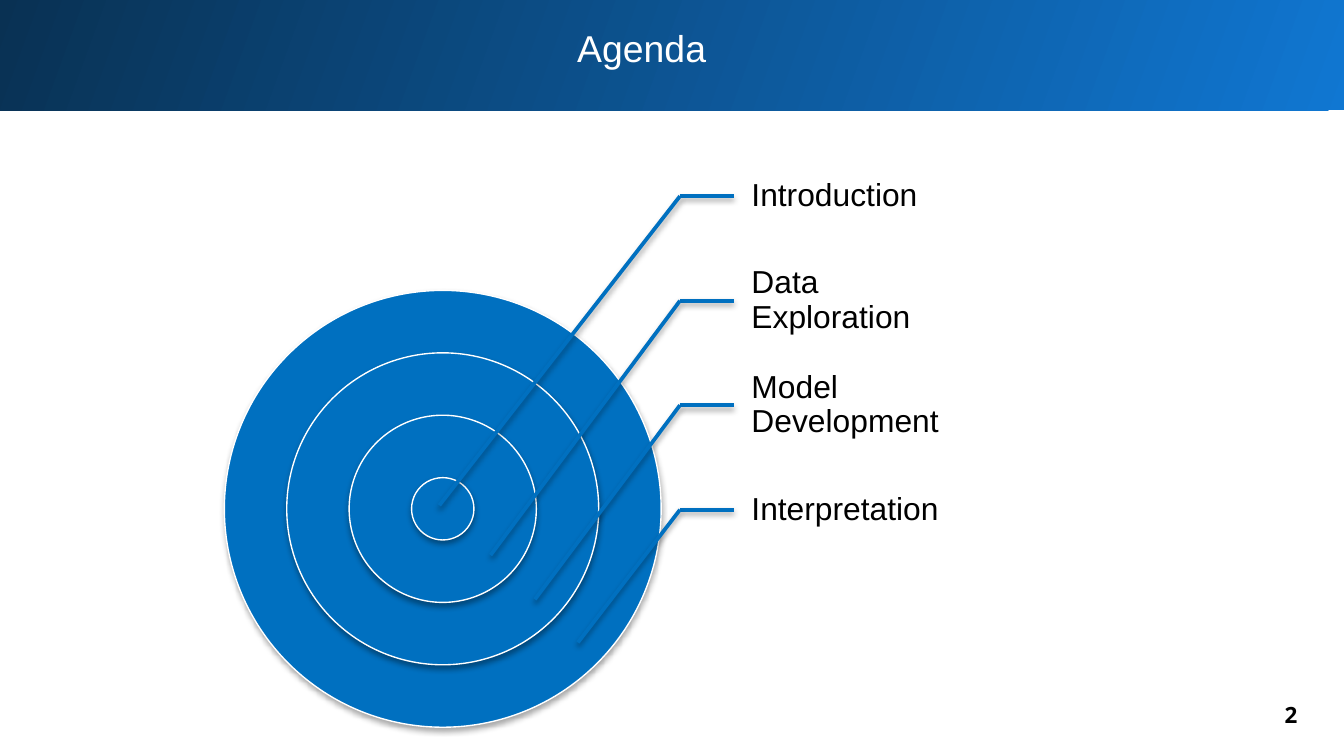
import dataclasses

import lxml.etree
import pptx
import pptx.dml.color
import pptx.enum.shapes
import pptx.enum.text
import pptx.oxml.ns
import pptx.util

Pt = pptx.util.Pt
SHAPES = pptx.enum.shapes.MSO_SHAPE
ANCHOR = pptx.enum.text.MSO_ANCHOR
ALIGN = pptx.enum.text.PP_ALIGN
BLUE, WHITE, BLACK = "0070C0", "FFFFFF", "000000"


@dataclasses.dataclass
class AgendaItem:
    label: str
    target_x: float
    target_y: float


@dataclasses.dataclass
class TextStyle:
    size: float
    font: str = "Arial"
    color: str = BLACK
    bold: bool = False
    align: ALIGN = ALIGN.LEFT
    anchor: ANCHOR = ANCHOR.TOP
    insets: tuple = (7.2, 7.2, 7.2, 7.2)
    spacing: float = 1.0


ITEMS = [
    AgendaItem("Introduction", 235.4, 270.7),
    AgendaItem("Data Exploration", 262.8, 297.4),
    AgendaItem("Model Development", 286.6, 321.1),
    AgendaItem("Interpretation", 309.6, 344.2),
]
TITLE = TextStyle(20, color=WHITE, align=ALIGN.CENTER)
NUMBER = TextStyle(12, font="Open Sans", bold=True)
LABEL = TextStyle(17, anchor=ANCHOR.MIDDLE, insets=(9.4, 1.5, 1.5, 1.5), spacing=0.9)

CENTER_X, CENTER_Y = 237.2, 272.6
OUTER_RADIUS, RING_STEP = 117, 33.43
BEND_X, LABEL_X = 364.3, 393.2
FIRST_Y, ITEM_PITCH = 105.1, 56
LABEL_WIDTH = 117.4


def rgb(color: str) -> pptx.dml.color.RGBColor:
    return pptx.dml.color.RGBColor.from_string(color)


def set_shadow(shape) -> None:
    name = pptx.oxml.ns.qn
    effects = lxml.etree.SubElement(shape._element.spPr, name("a:effectLst"))
    shadow = lxml.etree.SubElement(
        effects, name("a:outerShdw"), blurRad=str(Pt(3)), dist=str(Pt(1.8)),
        dir="5400000", rotWithShape="0")
    tone = lxml.etree.SubElement(shadow, name("a:srgbClr"), val=BLACK)
    lxml.etree.SubElement(tone, name("a:alpha"), val="35000")


def write_text(box, text: str, style: TextStyle) -> None:
    frame = box.text_frame
    frame.text = text
    frame.word_wrap = True
    frame.auto_size = pptx.enum.text.MSO_AUTO_SIZE.NONE
    frame.vertical_anchor = style.anchor
    frame.margin_left, frame.margin_top, frame.margin_right, frame.margin_bottom = map(
        Pt, style.insets)
    para = frame.paragraphs[0]
    para.alignment = style.align
    para.line_spacing = style.spacing
    font = para.runs[0].font
    font.name = style.font
    font.size = Pt(style.size)
    font.bold = style.bold
    font.color.rgb = rgb(style.color)


def draw_text(page, left: float, top: float, width: float, height: float,
              text: str, style: TextStyle) -> None:
    box = page.shapes.add_textbox(Pt(left), Pt(top), Pt(width), Pt(height))
    write_text(box, text, style)


def draw_banner(page) -> None:
    banner = page.shapes.add_shape(SHAPES.RECTANGLE, 0, Pt(-7.2), Pt(723.6), Pt(66.4))
    banner.shadow.inherit = False
    banner.line.fill.background()
    banner.fill.gradient()
    banner.fill.gradient_angle = 160
    for stop, color, position in zip(
            banner.fill.gradient_stops, ("1077D2", "093153"), (0, 1)):
        stop.color.rgb = rgb(color)
        stop.position = position


def draw_ring(page, radius: float) -> None:
    ring = page.shapes.add_shape(
        SHAPES.OVAL, Pt(CENTER_X - radius), Pt(CENTER_Y - radius),
        Pt(2 * radius), Pt(2 * radius))
    ring.fill.solid()
    ring.fill.fore_color.rgb = rgb(BLUE)
    ring.line.color.rgb = rgb(WHITE)
    ring.line.width = Pt(0.75)
    set_shadow(ring)


def draw_leader(page, start_x: float, start_y: float, end_x: float, end_y: float) -> None:
    leader = page.shapes.add_connector(
        pptx.enum.shapes.MSO_CONNECTOR.STRAIGHT,
        Pt(start_x), Pt(start_y), Pt(end_x), Pt(end_y))
    leader.line.color.rgb = rgb(BLUE)
    leader.line.width = Pt(2)
    set_shadow(leader)


def draw_item(page, item: AgendaItem, middle: float) -> None:
    draw_text(page, LABEL_X, middle - ITEM_PITCH / 2, LABEL_WIDTH, ITEM_PITCH,
              item.label, LABEL)
    draw_leader(page, BEND_X, middle, LABEL_X, middle)
    draw_leader(page, BEND_X, middle, item.target_x, item.target_y)


def build() -> None:
    deck = pptx.Presentation()
    deck.slide_width, deck.slide_height = Pt(720), Pt(405)
    page = deck.slides.add_slide(deck.slide_layouts[5])
    draw_banner(page)
    title = page.shapes.title
    title.left, title.top, title.width, title.height = map(Pt, (6.5, 6.5, 674.6, 38.9))
    write_text(title, "Agenda", TITLE)
    page.shapes._spTree.append(title._element)
    draw_text(page, 681.1, 368.6, 24.5, 28.8, "2", NUMBER)
    for index in range(len(ITEMS)):
        draw_ring(page, OUTER_RADIUS - index * RING_STEP)
    for index, item in enumerate(ITEMS):
        draw_item(page, item, FIRST_Y + index * ITEM_PITCH)
    deck.save("out.pptx")


build()
